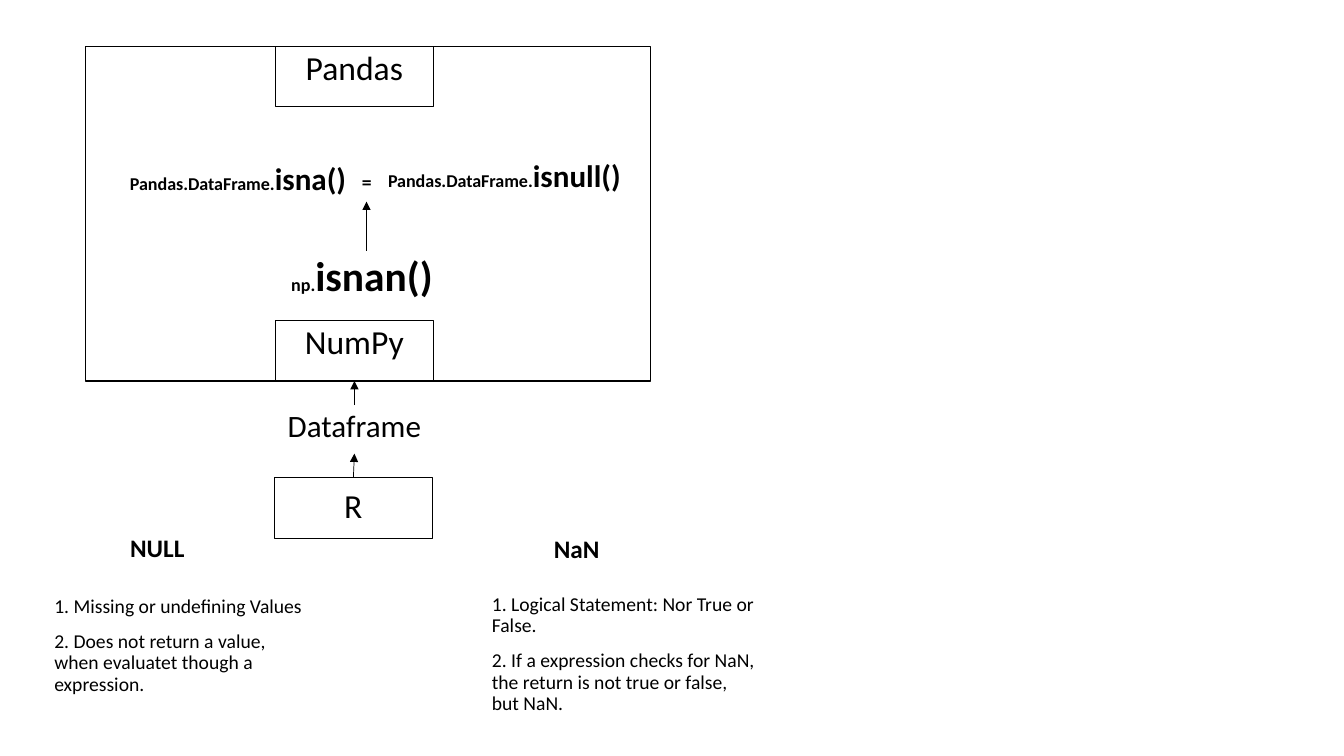
from dataclasses import dataclass

from lxml.etree import SubElement
from pptx import Presentation
from pptx.dml.color import RGBColor
from pptx.enum.shapes import MSO_CONNECTOR, MSO_SHAPE
from pptx.enum.text import MSO_ANCHOR, PP_ALIGN
from pptx.oxml.ns import qn
from pptx.util import Inches, Pt

TOP, BOTTOM = 0, 2


@dataclass(frozen=True)
class Theme:
    font: str = "Calibri"
    ink: RGBColor = RGBColor(0, 0, 0)
    paper: RGBColor = RGBColor(255, 255, 255)
    box_size: float = 24
    function_size: float = 22.2
    main_function_size: float = 29.6
    prefix_size: float = 12.9
    heading_size: float = 18
    note_size: float = 14
    border: float = 1
    arrow: float = 0.5


def write(frame, paragraphs, theme, bold=False, align=PP_ALIGN.LEFT,
          anchor=MSO_ANCHOR.TOP, spacing=0.9):
    frame.word_wrap = True
    frame.vertical_anchor = anchor
    for index, pieces in enumerate(paragraphs):
        paragraph = frame.add_paragraph() if index else frame.paragraphs[0]
        paragraph.alignment = align
        paragraph.line_spacing = spacing
        paragraph.space_before = Pt(10)
        for words, size in pieces:
            run = paragraph.add_run()
            run.text = words
            run.font.name = theme.font
            run.font.size = Pt(size)
            run.font.bold = bold
            run.font.color.rgb = theme.ink


class Diagram:
    """Draws on one slide, on a grid of ten columns and ten rows to the inch."""

    def __init__(self, slide, theme):
        self.slide = slide
        self.theme = theme

    def place(self, *cells):
        return [Inches(cell / 10) for cell in cells]

    def box(self, *cells, label=None, size=None, filled=True, bordered=True, **style):
        box = self.slide.shapes.add_shape(MSO_SHAPE.RECTANGLE, *self.place(*cells))
        box.shadow.inherit = False
        if filled:
            box.fill.solid()
            box.fill.fore_color.rgb = self.theme.paper
        else:
            box.fill.background()
        if bordered:
            box.line.color.rgb = self.theme.ink
            box.line.width = Pt(self.theme.border)
        else:
            box.line.fill.background()
        if label:
            write(box.text_frame, [[(label, size or self.theme.box_size)]],
                  self.theme, align=PP_ALIGN.CENTER, **style)
        return box

    def text(self, *cells, paragraphs, **style):
        text = self.slide.shapes.add_textbox(*self.place(*cells))
        write(text.text_frame, paragraphs, self.theme, **style)
        return text

    def call(self, *cells, prefix, function, size, **style):
        return self.text(*cells, bold=True, paragraphs=[
            [(prefix, self.theme.prefix_size), (function, size)]], **style)

    def heading(self, *cells, words):
        return self.text(*cells, paragraphs=[[(words, self.theme.heading_size)]],
                         bold=True, align=PP_ALIGN.CENTER)

    def notes(self, *cells, items):
        return self.text(*cells, paragraphs=[
            [(item, self.theme.note_size)] for item in items])

    def arrow(self, *cells, source, target=None):
        arrow = self.slide.shapes.add_connector(MSO_CONNECTOR.STRAIGHT, *self.place(*cells))
        arrow.begin_connect(source, TOP)
        if target is not None:
            arrow.end_connect(target, BOTTOM)
        arrow.line.color.rgb = self.theme.ink
        arrow.line.width = Pt(self.theme.arrow)
        properties = arrow._element.spPr
        SubElement(properties.find(qn("a:ln")), qn("a:tailEnd"), type="triangle")
        SubElement(properties, qn("a:effectLst"))
        return arrow


def main():
    deck = Presentation()
    deck.slide_width, deck.slide_height = Inches(13.33), Inches(7.5)
    theme = Theme()
    diagram = Diagram(deck.slides.add_slide(deck.slide_layouts[6]), theme)

    numpy = diagram.box(27.3, 31.8, 15.7, 6, label="NumPy")
    diagram.box(27.3, 4.6, 15.7, 6, label="Pandas")
    r_language = diagram.box(27.2, 47.4, 15.7, 6, label="R", anchor=MSO_ANCHOR.MIDDLE)
    diagram.box(8.5, 4.6, 56, 33.2, filled=False)
    dataframe = diagram.box(27.3, 40.2, 15.7, 4.8, label="Dataframe",
                            size=theme.function_size, bordered=False)

    diagram.call(11.9, 16.3, 24.1, 3.8, prefix="Pandas.DataFrame.",
                 function="isna()", size=theme.function_size, spacing=0.7)
    diagram.text(34.9, 16.6, 2.9, 3.4, paragraphs=[[("=", theme.note_size)]], bold=True)
    diagram.call(37.5, 15.4, 26.5, 4.7, prefix="Pandas.DataFrame.",
                 function="isnull()", size=theme.function_size)
    isnan = diagram.call(27.9, 24.9, 16.9, 6, prefix="np.",
                         function="isnan()", size=theme.main_function_size)

    diagram.arrow(35.1, 47.4, 35.2, 45, source=r_language, target=dataframe)
    diagram.arrow(35.2, 40.2, 35.2, 37.8, source=dataframe, target=numpy)
    diagram.arrow(36.35, 24.9, 36.35, 20, source=isnan)

    diagram.heading(9.5, 52.7, 12.2, 3.8, words="NULL")
    diagram.notes(4.4, 58.7, 27.3, 16.3, items=[
        "1. Missing or undefining Values",
        "2. Does not return a value, when evaluatet though a expression.",
    ])
    diagram.heading(51.1, 52.8, 12.2, 3.8, words="NaN")
    diagram.notes(47.8, 58.5, 28.5, 18.6, items=[
        "1. Logical Statement: Nor True or False.",
        "2. If a expression checks for NaN, the return is not true or false, but NaN.",
    ])
    deck.save("out.pptx")


if __name__ == "__main__":
    main()
